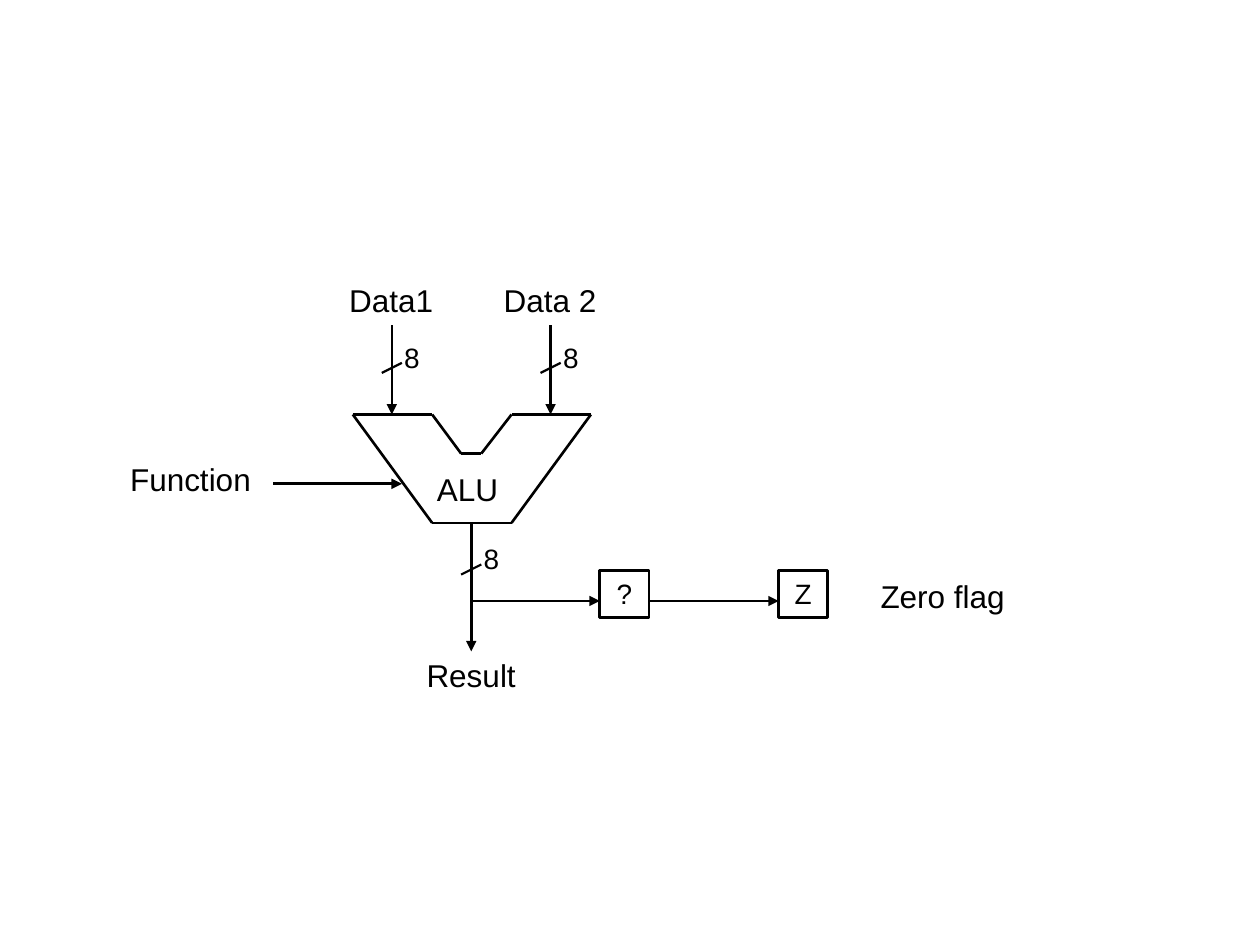
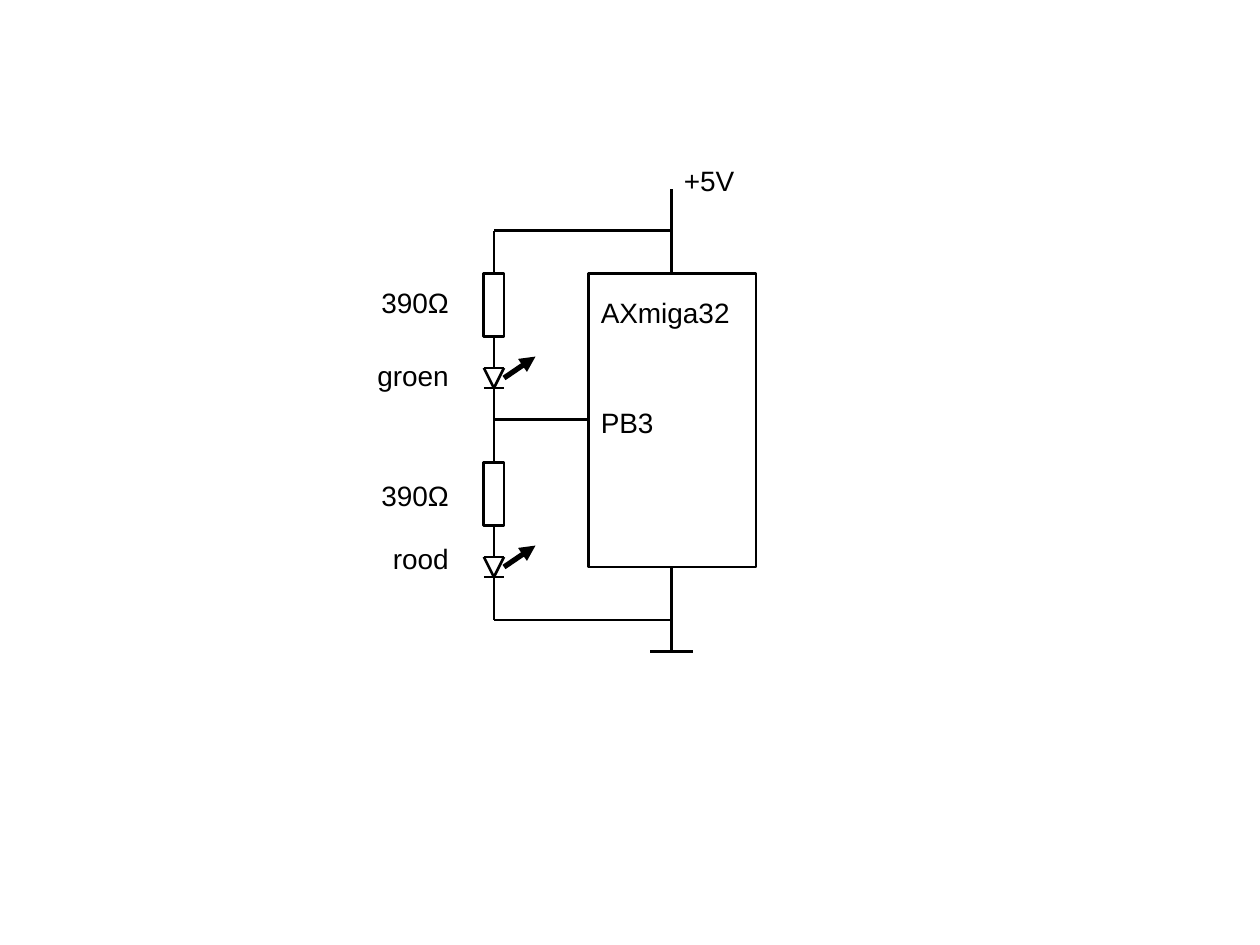
import itertools

import lxml.etree
import pptx
import pptx.dml.color
import pptx.enum.shapes
import pptx.enum.text
import pptx.oxml.ns
import pptx.util

Inches = pptx.util.Inches
Align = pptx.enum.text.PP_ALIGN
LEFT, CENTER, RIGHT = Align.LEFT, Align.CENTER, Align.RIGHT


def colour(hex_value):
    return pptx.dml.color.RGBColor.from_string(hex_value)


class Diagram:
    """Holds the drawing style and the page being drawn."""

    FONT = "Arial"
    INK = "000000"
    LINE = 1.5
    LABEL, SMALL = 18, 16
    HEIGHTS = {LABEL: 0.4, SMALL: 0.37}

    def __init__(self, deck):
        self.deck = deck
        self.page = None

    def new_page(self):
        self.page = self.deck.slides.add_slide(self.deck.slide_layouts[6])

    def line(self, start, end, width=LINE, arrow=False):
        wire = self.page.shapes.add_connector(
            pptx.enum.shapes.MSO_CONNECTOR.STRAIGHT,
            *(Inches(value) for value in (*start, *end)))
        wire.line.color.rgb = colour(self.INK)
        wire.line.width = pptx.util.Pt(width)
        properties = wire.element.spPr
        qn = pptx.oxml.ns.qn
        if arrow:
            lxml.etree.SubElement(properties.find(qn("a:ln")), qn("a:tailEnd"), type="triangle")
        lxml.etree.SubElement(properties, qn("a:effectLst"))

    def arrow(self, start, end, width=LINE):
        self.line(start, end, width, arrow=True)

    def polyline(self, *points):
        for start, end in itertools.pairwise(points):
            self.line(start, end)

    def box(self, left, top, width, height, text=None):
        box = self.page.shapes.add_shape(
            pptx.enum.shapes.MSO_SHAPE.RECTANGLE,
            Inches(left), Inches(top), Inches(width), Inches(height))
        box.shadow.inherit = False
        box.fill.background()
        box.line.color.rgb = colour(self.INK)
        box.line.width = pptx.util.Pt(self.LINE)
        if text:
            self.set_text(box.text_frame, text, self.SMALL, CENTER)

    def label(self, text, left, top, width, size=LABEL, align=CENTER):
        box = self.page.shapes.add_textbox(
            Inches(left), Inches(top), Inches(width), Inches(self.HEIGHTS[size]))
        self.set_text(box.text_frame, text, size, align)

    def set_text(self, frame, text, size, align):
        frame.word_wrap = True
        frame.auto_size = pptx.enum.text.MSO_AUTO_SIZE.SHAPE_TO_FIT_TEXT
        frame.vertical_anchor = pptx.enum.text.MSO_ANCHOR.TOP
        para = frame.paragraphs[0]
        para.alignment = align
        span = para.add_run()
        span.text = text
        span.font.name = self.FONT
        span.font.size = pptx.util.Pt(size)
        span.font.color.rgb = colour(self.INK)

    def bus_width(self, x, y, bits="8"):
        """Slash across a vertical bus, with its number of bits."""
        self.line((x - 0.08, y + 0.04), (x + 0.08, y - 0.04), 1.25)
        self.label(bits, x, y - 0.27, 0.31, self.SMALL)

    def led_branch(self, x, top):
        """Resistor with an LED below it; returns the y of the LED's cathode."""
        anode, cathode = top + 0.75, top + 0.91
        left, right = x - 0.08, x + 0.08
        self.box(left, top, right - left, 0.5)
        self.line((x, top + 0.5), (x, anode))
        self.polyline((left, anode), (right, anode), (x, cathode), (left, anode))
        self.line((left, cathode), (right, cathode))
        self.arrow((right, top + 0.83), (right + 0.25, top + 0.66), 3)
        return cathode


def draw_alu(diagram):
    diagram.new_page()
    top, bottom, notch = 3.29, 4.15, 3.6
    diagram.polyline((2.8, top), (3.43, top), (3.66, notch), (3.82, notch), (4.06, top),
                     (4.69, top), (4.06, bottom), (3.43, bottom), (2.8, top))
    diagram.label("ALU", 3.08, 3.68, 1.26)

    for data_x in (3.11, 4.37):
        diagram.arrow((data_x, 2.58), (data_x, top))
        diagram.bus_width(data_x, 2.92)
    diagram.label("Data1", 2.24, 2.18, 1.73)
    diagram.label("Data 2", 3.58, 2.18, 1.57)

    diagram.label("Function", 0.83, 3.6, 1.26, align=RIGHT)
    diagram.arrow((2.17, 3.84), (3.19, 3.84))

    result_x, flag_y, flag_side = 3.74, 4.77, 0.39
    diagram.arrow((result_x, bottom), (result_x, 5.17))
    diagram.bus_width(result_x, 4.52)
    diagram.label("Result", 3.11, 5.16, 1.26)

    wire_start = result_x
    for text, left in (("?", 4.76), ("Z", 6.18)):
        diagram.arrow((wire_start, flag_y), (left, flag_y))
        diagram.box(left, 4.53, flag_side, 0.37, text)
        wire_start = left + flag_side
    diagram.label("Zero flag", 6.89, 4.53, 1.26, align=LEFT)


def draw_led_circuit(diagram):
    diagram.new_page()
    chip_left, chip_top, chip_width, chip_height = 4.67, 2.17, 1.33, 2.33
    chip_bottom = chip_top + chip_height
    supply_x, led_x = 5.33, 3.92
    supply_y, pin_y, return_y, ground_y = 1.83, 3.33, 4.92, 5.17
    red_top = 3.67

    diagram.box(chip_left, chip_top, chip_width, chip_height)
    for text, left, top in (("AXmiga32", chip_left, 2.3), ("PB3", chip_left, 3.17),
                            ("+5V", supply_x, 1.25)):
        diagram.label(text, left, top, chip_width, diagram.SMALL, LEFT)

    diagram.line((supply_x, 1.5), (supply_x, chip_top))
    diagram.line((supply_x, chip_bottom), (supply_x, ground_y))
    diagram.line((supply_x - 0.17, ground_y), (supply_x + 0.17, ground_y))

    diagram.polyline((supply_x, supply_y), (led_x, supply_y), (led_x, chip_top))
    green_cathode = diagram.led_branch(led_x, chip_top)
    diagram.line((led_x, green_cathode), (led_x, red_top))
    diagram.line((chip_left, pin_y), (led_x, pin_y))
    red_cathode = diagram.led_branch(led_x, red_top)
    diagram.polyline((led_x, red_cathode), (led_x, return_y), (supply_x, return_y))

    for text, top in (("390Ω", 2.22), ("groen", 2.8), ("390Ω", 3.75), ("rood", 4.25)):
        diagram.label(text, 2.83, top, 0.83, diagram.SMALL, RIGHT)


def main():
    deck = pptx.Presentation()
    deck.slide_width, deck.slide_height = Inches(10), Inches(7.5)
    diagram = Diagram(deck)
    draw_alu(diagram)
    draw_led_circuit(diagram)
    deck.save("out.pptx")


if __name__ == "__main__":
    main()
